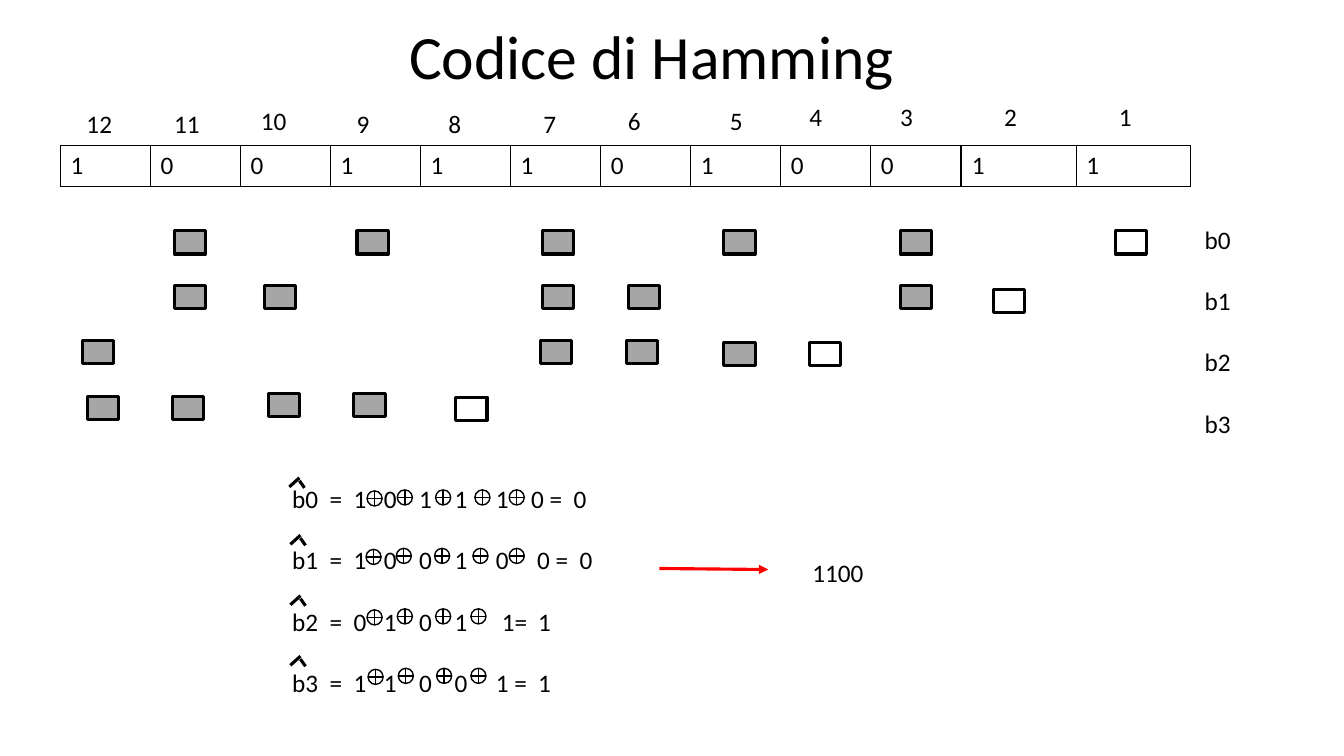
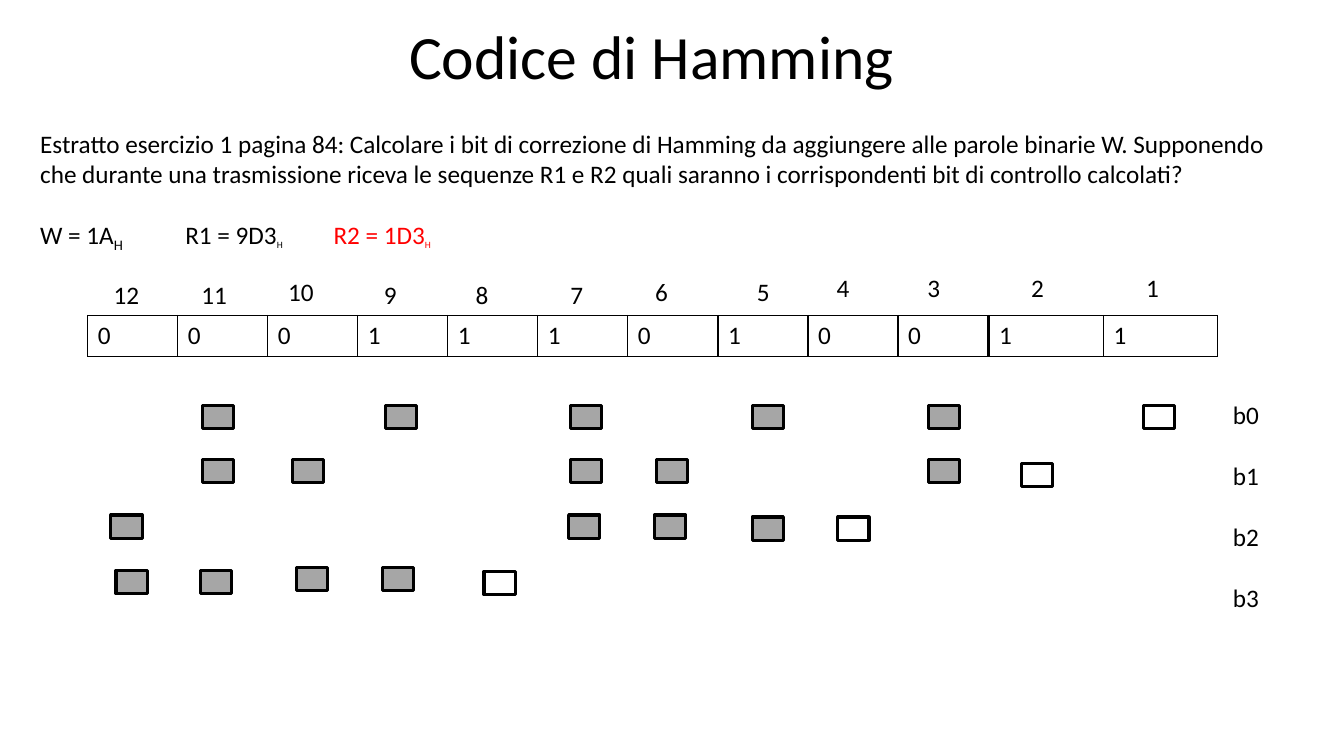
"""Build two slides on the Hamming code."""
from dataclasses import dataclass
from typing import NamedTuple

from lxml.etree import SubElement
from pptx import Presentation
from pptx.dml.color import RGBColor
from pptx.enum.shapes import MSO_CONNECTOR as Connector, MSO_SHAPE as Preset
from pptx.enum.text import MSO_ANCHOR as Anchor, PP_ALIGN as Align
from pptx.oxml.ns import qn
from pptx.util import Pt


@dataclass(frozen=True)
class Theme:
    """Colours, font and type sizes shared by the slides."""
    ink: str = "000000"
    paper: str = "FFFFFF"
    covered: str = "A6A6A6"
    accent: str = "FF0000"
    font: str = "Calibri"
    title: int = 44
    body: int = 18
    small: int = 12
    blank_line: int = 22
    thin: float = 1
    thick: float = 2.25


class Column(NamedTuple):
    """Places of one bit position on the first slide."""
    position: int
    label_left: int
    label_top: int
    mark_left: int


class Equation(NamedTuple):
    """One check equation with its tab stops, signs and hat."""
    terms: tuple
    stops: tuple
    sign_lefts: tuple
    sign_top: int
    hat: tuple


class Span(NamedTuple):
    """A stretch of text that may differ from its paragraph."""
    text: str
    color: str = ""
    size: int = 0
    lowered: bool = False


THEME = Theme()
EMU_PER_PX = 9144
MARK_SIZE = (31, 23)
MARK_TOPS = (229, 283, 338, 390)
COLUMNS = (
    Column(12, 76, 103, 82), Column(11, 163, 103, 173), Column(10, 249, 100, 262),
    Column(9, 344, 103, 354), Column(8, 435, 103, 452), Column(7, 529, 103, 538),
    Column(6, 613, 100, 623), Column(5, 714, 100, 718), Column(4, 793, 96, 803),
    Column(3, 883, 96, 893), Column(2, 986, 96, 985), Column(1, 1100, 96, 1106),
)
MARK_NUDGES = {
    (1, 2): (0, 4), (2, 7): (-2, 0), (2, 6): (-2, 0), (2, 5): (0, 2), (2, 4): (0, 2),
    (3, 12): (5, 3), (3, 11): (-2, 3), (3, 10): (4, 0), (3, 9): (-3, 0), (3, 8): (0, 4),
}
TERM_STOPS = (37, 61, 91, 126, 161)
EQUATIONS = (
    Equation(("b0", "=", "1", "0", "1", "1", "1", "0 =", "0"), (202, 237, 279),
             (364, 394, 432, 471, 505), 486, (287, 474)),
    Equation(("b1", "=", "1", "0", "0", "1", "0", "0 =", "0"), (202, 243, 285),
             (363, 393, 431, 469, 505), 544, (288, 531)),
    Equation(("b2", "=", "0", "1", "0", "1", "1=", "1"), (208, 244),
             (364, 394, 432, 467), 604, (288, 591)),
    Equation(("b3", "=", "1", "1", "0", "0", "1 =", "1"), (202, 244),
             (365, 395, 433, 467), 663, (288, 651)),
)
QUESTION = (
    "Estratto esercizio 1 pagina 84: Calcolare i bit di correzione di Hamming da aggiungere "
    "alle parole binarie W. Supponendo che durante una trasmissione riceva le sequenze R1 e R2 "
    "quali saranno i corrispondenti bit di controllo calcolati?"
)
WORDS = (
    Span("W = 1A"), Span("H", lowered=True),
    Span("\tR1 = 9D3"), Span("H", size=THEME.small, lowered=True),
    Span("\t"), Span("R2 = 1D3", THEME.accent),
    Span("H", THEME.accent, THEME.small, True),
)


def px(*lengths):
    """Turn px lengths into EMU."""
    return [length * EMU_PER_PX for length in lengths]


def rgb(color):
    """Return the colour object of a hex string."""
    return RGBColor.from_string(color)


def style_font(font, size, color=THEME.ink):
    """Give a font the theme typeface, a size and a colour."""
    font.name = THEME.font
    font.size = Pt(size)
    font.color.rgb = rgb(color)


def add_tabs(para, stops):
    """Set left tab stops on a paragraph."""
    tab_list = SubElement(para._p.get_or_add_pPr(), qn("a:tabLst"))
    for stop in px(*stops):
        SubElement(tab_list, qn("a:tab"), pos=str(stop), algn="l")


def write_para(para, spans, size=THEME.body, stops=()):
    """Write spans into a left-aligned paragraph."""
    para.alignment = Align.LEFT
    if stops:
        add_tabs(para, stops)
    style_font(para.font, size)
    for span in spans:
        run = para.add_run()
        run.text = span.text
        if span.color:
            run.font.color.rgb = rgb(span.color)
        if span.size:
            run.font.size = Pt(span.size)
        if span.lowered:
            run.font._element.set("baseline", "-25000")


def add_text(page, frame, lines, size=THEME.body):
    """Add a text box from pairs of spans and tab stops."""
    box = page.shapes.add_textbox(*px(*frame))
    text = box.text_frame
    text.word_wrap = True
    for index, (spans, stops) in enumerate(lines):
        para = text.add_paragraph() if index else text.paragraphs[0]
        write_para(para, spans, size, stops)
        if index:
            para.space_before = Pt(THEME.blank_line)
    return box


def add_label(page, frame, *lines, size=THEME.body):
    """Add a text box of plain lines."""
    return add_text(page, frame, [((Span(line),), ()) for line in lines], size)


def add_title(page):
    """Add the title shared by the slides."""
    text = add_label(page, (396, 17, 540, 85), "Codice di Hamming", size=THEME.title).text_frame
    text.vertical_anchor = Anchor.MIDDLE
    text.paragraphs[0].line_spacing = 0.9


def add_outlined(page, preset, frame, fill, weight):
    """Add a preset shape with a black outline."""
    shape = page.shapes.add_shape(preset, *px(*frame))
    shape.shadow.inherit = False
    if fill:
        shape.fill.solid()
        shape.fill.fore_color.rgb = rgb(fill)
    else:
        shape.fill.background()
    shape.line.color.rgb = rgb(THEME.ink)
    shape.line.width = Pt(weight)


def add_line(page, start, end, color=THEME.ink, arrow=False):
    """Add a thick straight line, with an arrowhead on request."""
    line = page.shapes.add_connector(Connector.STRAIGHT, *px(*start, *end))
    line.line.color.rgb = rgb(color)
    line.line.width = Pt(THEME.thick)
    if arrow:
        SubElement(line.line._get_or_add_ln(), qn("a:tailEnd"), type="triangle")
    SubElement(line._element.spPr, qn("a:effectLst"))


def add_borders(cell):
    """Draw thin black borders around a cell."""
    properties = cell._tc.get_or_add_tcPr()
    for side in ("a:lnL", "a:lnR", "a:lnT", "a:lnB"):
        border = SubElement(properties, qn(side), w=str(Pt(THEME.thin)))
        SubElement(SubElement(border, qn("a:solidFill")), qn("a:srgbClr"), val=THEME.ink)


def add_bits(page, frame, bits):
    """Add a one-row table with one bit to a cell."""
    table = page.shapes.add_table(1, len(bits), *px(*frame)).table
    table.first_row = table.horz_banding = False
    width = px(frame[2])[0] // len(bits)
    for column, cell, bit in zip(table.columns, table.iter_cells(), bits):
        column.width = width
        add_borders(cell)
        cell.fill.background()
        write_para(cell.text_frame.paragraphs[0], (Span(bit),))


def add_codeword(page, bits, right=0, down=0):
    """Add the twelve bits below their position numbers."""
    add_bits(page, (60 + right, 144 + down, 893, 41), bits[:10])
    add_bits(page, (954 + right, 144 + down, 227, 41), bits[10:])
    for column in COLUMNS:
        frame = (column.label_left + right, column.label_top + down, 53, 40)
        add_label(page, frame, str(column.position))


def add_coverage(page, right=0, down=0):
    """Mark the positions that each check bit covers."""
    add_label(page, (1185 + right, 218 + down, 72, 222), "b0", "b1", "b2", "b3")
    for bit, top in enumerate(MARK_TOPS):
        for column in COLUMNS:
            if column.position >> bit & 1:
                aside, below = MARK_NUDGES.get((bit, column.position), (0, 0))
                frame = (column.mark_left + aside + right, top + below + down, *MARK_SIZE)
                fill = None if column.position == 1 << bit else THEME.covered
                add_outlined(page, Preset.RECTANGLE, frame, fill, THEME.thick)


def add_hat(page, left, top):
    """Draw a hat from two strokes."""
    add_line(page, (left, top + 9), (left + 10, top))
    add_line(page, (left + 10, top + 3), (left + 15, top + 10))


def add_equations(page):
    """Add the check equations with their XOR signs and hats."""
    lines = [((Span("\t".join(equation.terms)),), TERM_STOPS + equation.stops)
             for equation in EQUATIONS]
    add_text(page, (280, 475, 354, 222), lines)
    for equation in EQUATIONS:
        for index, left in enumerate(equation.sign_lefts):
            frame = (left, equation.sign_top + (index == 0), 15, 15)
            add_outlined(page, Preset.FLOWCHART_OR, frame, THEME.paper, THEME.thin)
        add_hat(page, *equation.hat)


def add_page(deck):
    """Add a blank page with the title."""
    page = deck.slides.add_slide(deck.slide_layouts[6])
    add_title(page)
    return page


def build_check(deck):
    """Build the slide that works out the check bits."""
    page = add_page(deck)
    add_equations(page)
    add_codeword(page, "100111010011")
    add_coverage(page)
    add_line(page, (654, 564), (762, 565), THEME.accent, arrow=True)
    add_label(page, (796, 548, 116, 40), "1100")


def build_exercise(deck):
    """Build the slide that sets the exercise."""
    page = add_page(deck)
    add_text(page, (30, 122, 1270, 162), [((Span(QUESTION),), ()), (WORDS, (144, 291))])
    add_coverage(page, 28, 173)
    add_codeword(page, "000111010011", 27, 169)


def main():
    """Build and save the deck."""
    deck = Presentation()
    deck.slide_width, deck.slide_height = px(1333, 750)
    build_check(deck)
    build_exercise(deck)
    deck.save("out.pptx")


if __name__ == "__main__":
    main()
